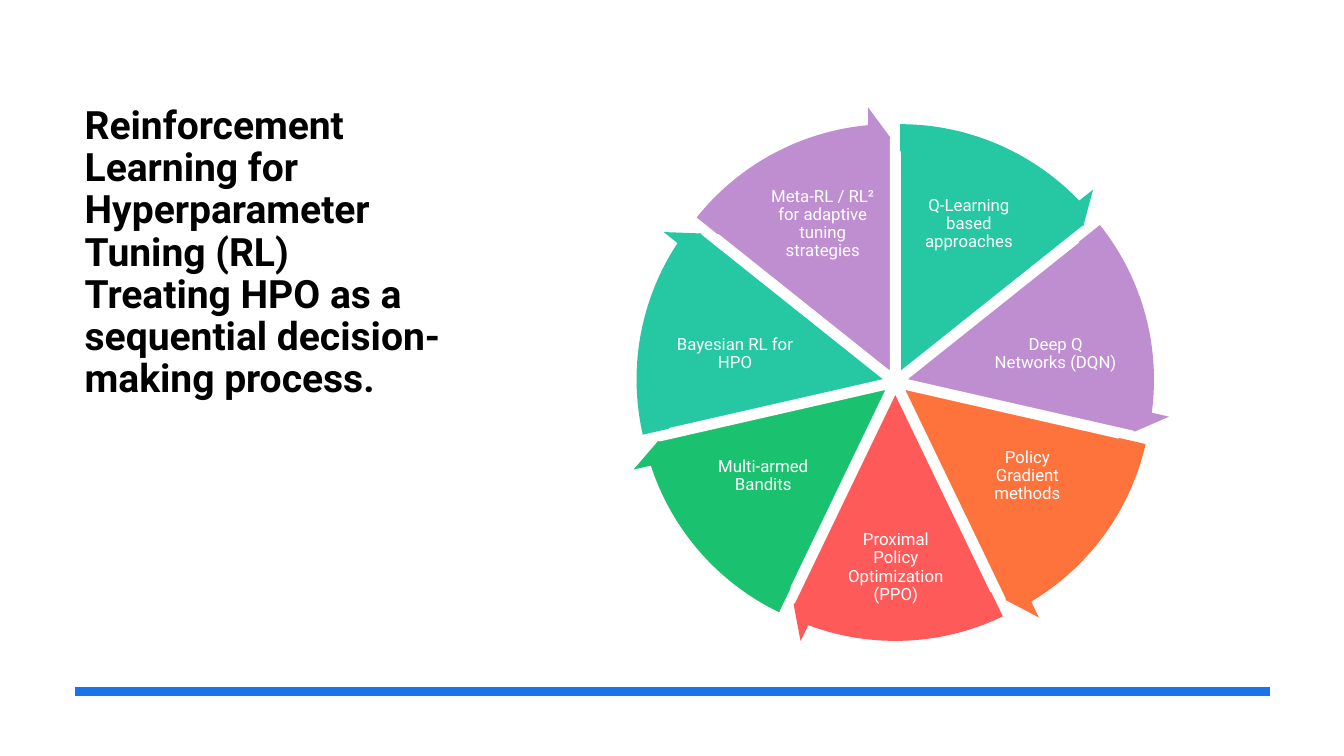
from dataclasses import dataclass
from math import cos, pi, sin

from pptx import Presentation
from pptx.dml.color import RGBColor
from pptx.enum.shapes import MSO_CONNECTOR as CONN, MSO_SHAPE as SHAPE
from pptx.enum.text import MSO_ANCHOR as ANCHOR, PP_ALIGN as ALIGN
from pptx.oxml.ns import qn
from pptx.util import Inches, Pt

FONT = "Roboto"
WHITE, BLACK, BLUE = "FFFFFF", "000000", "1973EB"
TEAL, PURPLE, ORANGE, RED, GREEN = "25C8A2", "BF8ED1", "FE733C", "FE5A5A", "1AC16E"
CENTER_X, CENTER_Y = 8.88, 3.79
PIE_SIZE, ARROW_SIZE = 4.69, 5.27
OFFSET = 0.11
FULL_TURN, TOP_ANGLE = 216, 162
HEAD_ANGLE = 3.28


@dataclass
class Segment:
    text: str
    color: str
    left: float
    top: float
    width: float
    height: float


SEGMENTS = [
    Segment("Q-Learning based approaches", TEAL, 9.05, 1.78, 1.12, 0.89),
    Segment("Deep Q Networks (DQN)", PURPLE, 9.83, 3.12, 1.28, 0.78),
    Segment("Policy Gradient methods", ORANGE, 9.63, 4.29, 1.12, 0.87),
    Segment("Proximal Policy Optimization (PPO)", RED, 8.34, 5.24, 1.09, 0.78),
    Segment("Multi-armed Bandits", GREEN, 7.01, 4.29, 1.12, 0.87),
    Segment("Bayesian RL for HPO", TEAL, 6.65, 3.12, 1.28, 0.78),
    Segment("Meta-RL / RL² for adaptive tuning strategies", PURPLE, 7.6, 1.78, 1.12, 0.89),
]
STEP = FULL_TURN / len(SEGMENTS)


def rgb(color: str) -> RGBColor:
    return RGBColor.from_string(color)


def write(tf, text: str, *, size: float, color: str, bold: bool = False,
          align=ALIGN.LEFT, anchor=ANCHOR.TOP, inset: tuple = (0.1, 0.05)) -> None:
    tf.word_wrap = True
    tf.vertical_anchor = anchor
    tf.margin_left = tf.margin_right = Inches(inset[0])
    tf.margin_top = tf.margin_bottom = Inches(inset[1])
    p = tf.paragraphs[0]
    p.text = text
    p.alignment = align
    p.line_spacing = 0.9
    p.space_before = Pt(0)
    for r in p.runs:
        r.font.name, r.font.size, r.font.bold = FONT, Pt(size), bold
        r.font.color.rgb = rgb(color)


def add_round(slide, kind, index: int, size: float, color: str, adjustments: list):
    middle = 2 * pi * (index + 0.5) / len(SEGMENTS)
    left = CENTER_X + OFFSET * sin(middle) - size / 2
    top = CENTER_Y - OFFSET * cos(middle) - size / 2
    sp = slide.shapes.add_shape(kind, Inches(left), Inches(top), Inches(size), Inches(size))
    sp.shadow.inherit = False
    sp.fill.solid()
    sp.fill.fore_color.rgb = rgb(color)
    for i, value in enumerate(adjustments):
        sp.adjustments[i] = value
    return sp


def add_slice(slide, index: int, seg: Segment) -> None:
    start = (TOP_ANGLE + index * STEP) % FULL_TURN
    sp = add_round(slide, SHAPE.PIE, index, PIE_SIZE, seg.color,
                   [start, (start + STEP) % FULL_TURN])
    sp.line.color.rgb = rgb(WHITE)
    sp.line.width = Pt(1)
    label = slide.shapes.add_textbox(Inches(seg.left), Inches(seg.top),
                                     Inches(seg.width), Inches(seg.height))
    write(label.text_frame, seg.text, size=12, color=WHITE, align=ALIGN.CENTER,
          anchor=ANCHOR.MIDDLE, inset=(0.02, 0.02))


def add_arrow(slide, index: int, seg: Segment) -> None:
    start = (TOP_ANGLE + index * STEP) % FULL_TURN
    end = (start + STEP - HEAD_ANGLE) % FULL_TURN
    sp = add_round(slide, SHAPE.CIRCULAR_ARROW, index, ARROW_SIZE, seg.color,
                   [0.051, HEAD_ANGLE, end, start, 0.059])
    sp.line.fill.background()


def add_rule(slide, left: float, right: float, y: float, color: str, width: float) -> None:
    line = slide.shapes.add_connector(CONN.STRAIGHT, Inches(left), Inches(y),
                                      Inches(right), Inches(y))
    line.line.color.rgb = rgb(color)
    line.line.width = Pt(width)
    sp_pr = line._element.spPr
    sp_pr.append(sp_pr.makeelement(qn("a:effectLst"), {}))


def main() -> None:
    prs = Presentation()
    prs.slide_width, prs.slide_height = Inches(13.33), Inches(7.5)
    s = prs.slides.add_slide(prs.slide_layouts[5])
    title = s.shapes.title
    title.left, title.top = Inches(0.74), Inches(1)
    title.width, title.height = Inches(4.02), Inches(4.55)
    write(title.text_frame,
          "Reinforcement Learning for Hyperparameter Tuning (RL)\n"
          "Treating HPO as a sequential decision-making process.",
          size=27.9, color=BLACK, bold=True)
    add_rule(s, 0.74, 12.6, 6.86, BLUE, 6)
    for draw in (add_slice, add_arrow):
        for i, seg in enumerate(SEGMENTS):
            draw(s, i, seg)
    prs.save("out.pptx")


if __name__ == "__main__":
    main()
